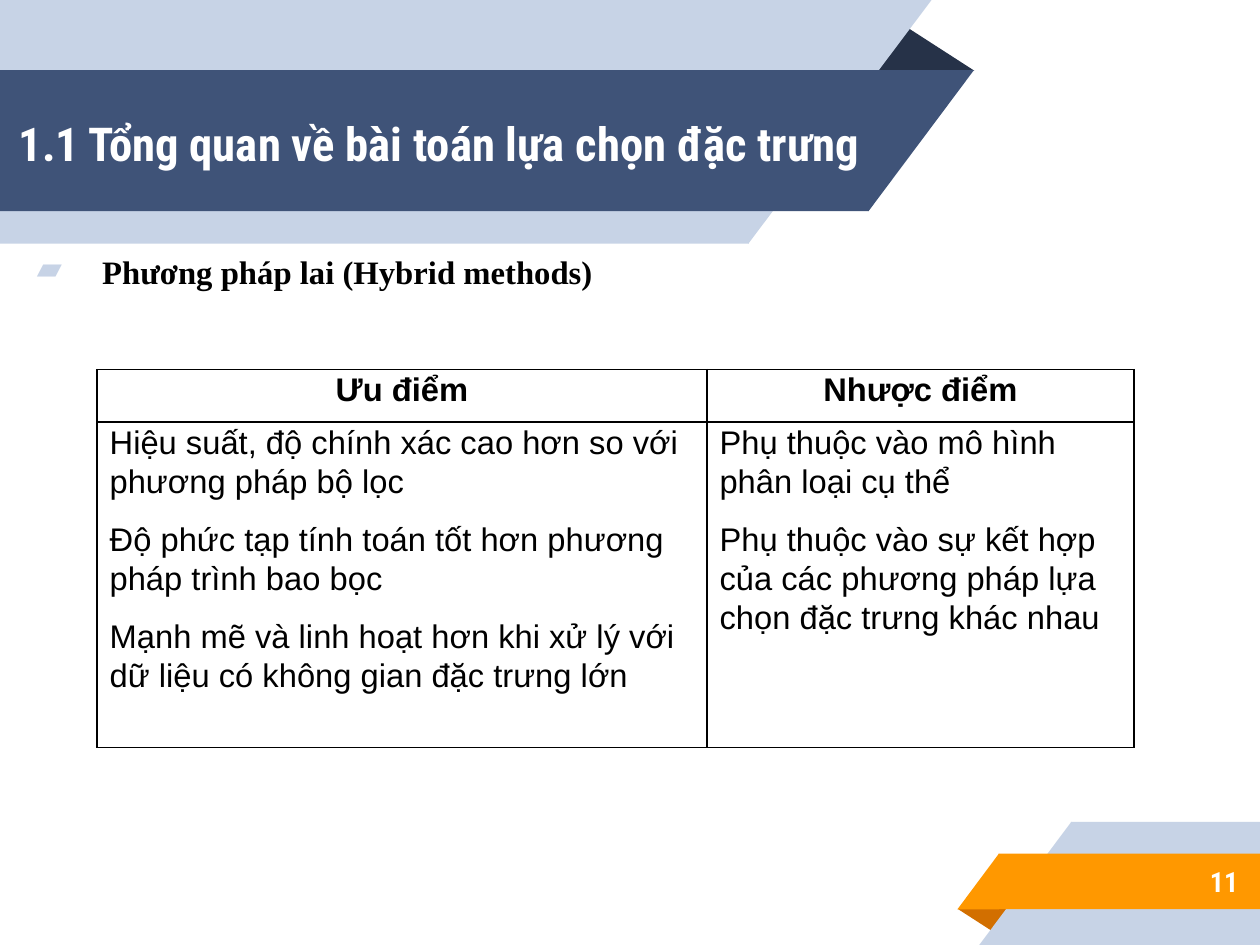
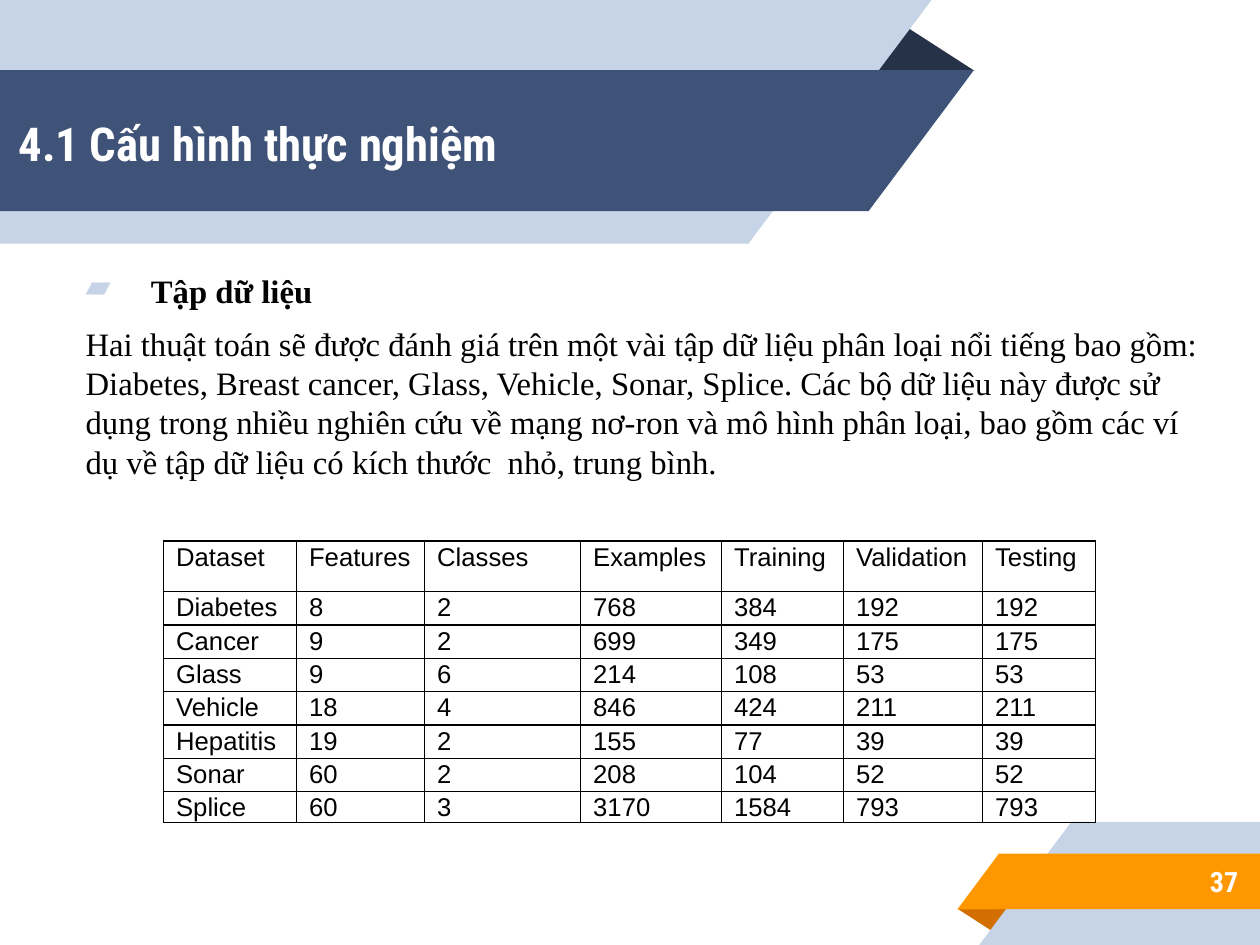
from lxml import etree
from pptx import Presentation
from pptx.dml.color import RGBColor
from pptx.enum.shapes import MSO_SHAPE
from pptx.enum.text import MSO_ANCHOR, MSO_AUTO_SIZE, PP_ALIGN
from pptx.oxml.ns import qn
from pptx.util import Pt

RECT, RIGHT_TRI, TRI = MSO_SHAPE.RECTANGLE, MSO_SHAPE.RIGHT_TRIANGLE, MSO_SHAPE.ISOSCELES_TRIANGLE
LEFT, MID, RIGHT, JUST = PP_ALIGN.LEFT, PP_ALIGN.CENTER, PP_ALIGN.RIGHT, PP_ALIGN.JUSTIFY
ANCHOR, FIXED = MSO_ANCHOR.MIDDLE, MSO_AUTO_SIZE.NONE
HEAD, BODY, CELL = "Roboto Condensed", "Times New Roman", "Arial"
COLORS = {
    "pale": "C7D3E6", "navy": "3F5378", "night": "263248", "rust": "D26F00",
    "orange": "FF9800", "white": "FFFFFF", "black": "000000",
}


def write(frame, text, font=BODY, size=14, color="black", bold=False, align=LEFT,
          before=0, after=0, line=1.0, left=0, bullet=None):
    para = frame.paragraphs[0] if not frame.text else frame.add_paragraph()
    para.alignment = align
    para.line_spacing = line
    para.space_before, para.space_after = Pt(before), Pt(after)
    run = para.add_run()
    run.text = text
    run.font.name, run.font.size, run.font.bold = font, Pt(size), bold
    run.font.color.rgb = RGBColor.from_string(COLORS[color])
    props = para._p.get_or_add_pPr()
    props.set("marL", str(Pt(left)))
    props.set("indent", str(Pt(-28 if bullet else 0)))
    if bullet:
        tint = etree.SubElement(props, qn("a:buClr"))
        etree.SubElement(tint, qn("a:srgbClr"), val=COLORS["pale"])
        etree.SubElement(props, qn("a:buChar"), char=bullet)


def grid(page, left, top, cols, rows, cells, **look):
    frame = page.shapes.add_table(len(rows), len(cols), Pt(left), Pt(top), Pt(sum(cols)), Pt(sum(rows)))
    table = frame.table
    table.first_row = table.horz_banding = False
    for col, width in zip(table.columns, cols):
        col.width = Pt(width)
    for row, height in zip(table.rows, rows):
        row.height = Pt(height)
    for r, line in enumerate(cells):
        for c, texts in enumerate(line):
            cell = table.cell(r, c)
            cell.margin_left = cell.margin_right = Pt(5.4)
            cell.margin_top = cell.margin_bottom = 0
            props = cell._tc.get_or_add_tcPr()
            for side in ("a:lnL", "a:lnR", "a:lnT", "a:lnB"):
                edge = etree.SubElement(props, qn(side), w=str(Pt(0.75)))
                fill = etree.SubElement(edge, qn("a:solidFill"))
                etree.SubElement(fill, qn("a:srgbClr"), val=COLORS["black"])
            cell.fill.background()
            for text in texts:
                style = look["first"] if r == 0 else look["rest"]
                write(cell.text_frame, text, font=CELL, line=1.07, **style)


deck = Presentation()
deck.slide_width, deck.slide_height = Pt(540), Pt(405)
layout = deck.slide_layouts[5]

pages = [
    ("1.1 Tổng quan về bài toán lựa chọn đặc trưng", "11", (0.7, 100.8, 517, 40.3),
     [("Phương pháp lai (Hybrid methods)", dict(bold=True, align=JUST, left=36, bullet="▰"))]),
    ("4.1 Cấu hình thực nghiệm", "37", (21.6, 108.7, 502, 107.3),
     [("Tập dữ liệu", dict(bold=True, left=36, bullet="▰")),
      ("Hai thuật toán sẽ được đánh giá trên một vài tập dữ liệu phân loại nổi tiếng bao gồm: "
       "Diabetes, Breast cancer, Glass, Vehicle, Sonar, Splice. Các bộ dữ liệu này được sử dụng "
       "trong nhiều nghiên cứu về mạng nơ-ron và mô hình phân loại, bao gồm các ví dụ về tập dữ "
       "liệu có kích thước  nhỏ, trung bình.", dict(left=8))]),
]
slides = [deck.slides.add_slide(layout) for page in pages]

bands = [
    (TRI, "night", 371.5, 10.1, 46.1, 20.2, 0, False),
    (RECT, "pale", 0, 0, 321, 104.4, 180, True),
    (RIGHT_TRI, "pale", 320.7, 0, 78.5, 104.4, 180, True),
    (RECT, "navy", 0, 30, 372.4, 60.5, 180, True),
    (RIGHT_TRI, "navy", 372.2, 30, 45.2, 60.5, 180, True),
    (TRI, "rust", 410.4, 389.5, 23, 10.1, 180, False),
    (RECT, "pale", 459, 352.2, 81, 52.8, 0, True),
    (RIGHT_TRI, "pale", 419.7, 352.2, 39.5, 52.8, 0, True),
    (RECT, "orange", 428, 365.8, 112, 23.9, 0, True),
    (RIGHT_TRI, "orange", 410.4, 365.8, 17.8, 23.9, 0, True),
]
for kind, color, x, y, wide, high, turn, flip in bands:
    band = slides[0].shapes.add_shape(kind, Pt(x), Pt(y), Pt(wide), Pt(high))
    band.shadow.inherit = False
    band.fill.solid()
    band.fill.fore_color.rgb = RGBColor.from_string(COLORS[color])
    band.line.fill.background()
    band.rotation = turn
    if kind == TRI:
        band.adjustments[0] = 0.32
    if flip:
        band._element.spPr.find(qn("a:xfrm")).set("flipH", "1")
    layout.shapes._spTree.append(band._element)

for slide, (head, num, place, paras) in zip(slides, pages):
    title = slide.shapes.title
    title.left, title.top, title.width, title.height = Pt(0.7), Pt(31), Pt(386.6), Pt(60.5)
    foot = slide.shapes.add_textbox(Pt(450), Pt(365), Pt(87.8), Pt(25.2))
    body = slide.shapes.add_textbox(*map(Pt, place))
    for box in (title, foot, body):
        frame = box.text_frame
        frame.word_wrap, frame.auto_size = True, FIXED
        frame.margin_left = frame.margin_right = frame.margin_top = frame.margin_bottom = Pt(7.2)
    title.text_frame.vertical_anchor = foot.text_frame.vertical_anchor = ANCHOR
    write(title.text_frame, head, font=HEAD, size=20, color="white", bold=True)
    write(foot.text_frame, num, font=HEAD, size=12, color="white", bold=True, align=RIGHT)
    for text, style in paras:
        write(body.text_frame, text, before=6, **style)

traits = [
    [["Ưu điểm"], ["Nhược điểm"]],
    [["Hiệu suất, độ chính xác cao hơn so với phương pháp bộ lọc",
      "Độ phức tạp tính toán tốt hơn phương pháp trình bao bọc",
      "Mạnh mẽ và linh hoạt hơn khi xử lý với dữ liệu có không gian đặc trưng lớn"],
     ["Phụ thuộc vào mô hình phân loại cụ thể",
      "Phụ thuộc vào sự kết hợp của các phương pháp lựa chọn đặc trưng khác nhau"]],
]
grid(slides[0], 41.6, 158.4, [261.4, 183], [22.5, 139.5], traits,
     first=dict(bold=True, align=MID, after=8), rest=dict(after=8))

data = [
    ("Dataset", "Features", "Classes", "Examples", "Training", "Validation", "Testing"),
    ("Diabetes", 8, 2, 768, 384, 192, 192),
    ("Cancer", 9, 2, 699, 349, 175, 175),
    ("Glass", 9, 6, 214, 108, 53, 53),
    ("Vehicle", 18, 4, 846, 424, 211, 211),
    ("Hepatitis", 19, 2, 155, 77, 39, 39),
    ("Sonar", 60, 2, 208, 104, 52, 52),
    ("Splice", 60, 3, 3170, 1584, 793, 793),
]
small = dict(size=11, align=JUST)
grid(slides[1], 70.1, 231.8, [57, 54.9, 66.9, 60.4, 52.3, 59.6, 48.4], [21.8] + [14.3] * 6 + [9],
     [[[str(item)] for item in line] for line in data], first=small, rest=small)

deck.save("out.pptx")
